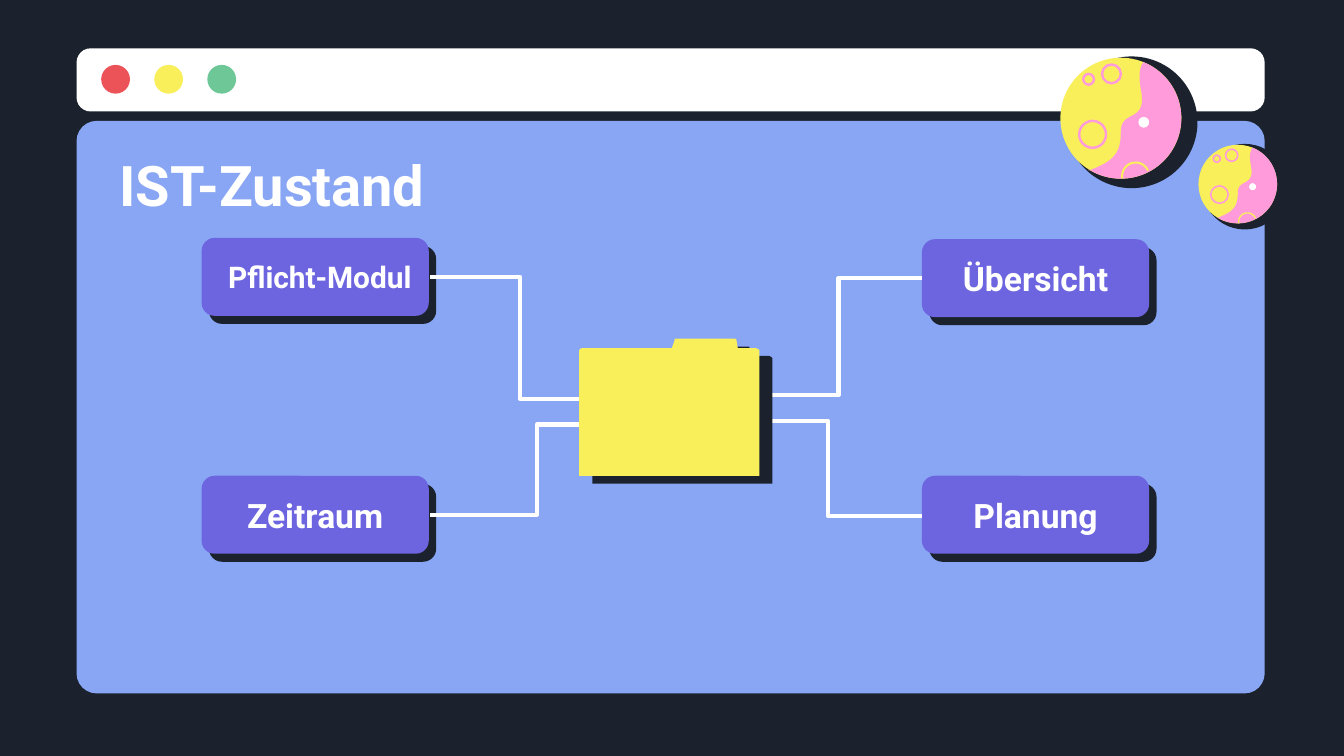
from math import cos, radians, sin

from lxml import etree
from pptx import Presentation
from pptx.dml.color import RGBColor
from pptx.enum.shapes import MSO_CONNECTOR, MSO_SHAPE
from pptx.enum.text import MSO_ANCHOR, PP_ALIGN
from pptx.oxml.ns import qn
from pptx.util import Inches, Pt

ROUND_RECT = MSO_SHAPE.ROUNDED_RECTANGLE
OVAL = MSO_SHAPE.OVAL
ELBOW = MSO_CONNECTOR.ELBOW
MIDDLE = MSO_ANCHOR.MIDDLE
LEFT, CENTER = PP_ALIGN.LEFT, PP_ALIGN.CENTER

DARK = RGBColor(0x1B, 0x22, 0x2D)
BLUE = RGBColor(0x88, 0xA6, 0xF3)
PURPLE = RGBColor(0x6D, 0x65, 0xE0)
WHITE = RGBColor(0xFF, 0xFF, 0xFF)
RED = RGBColor(0xEB, 0x53, 0x58)
YELLOW = RGBColor(0xF8, 0xEF, 0x5B)
GREEN = RGBColor(0x6D, 0xC7, 0x97)
PINK = RGBColor(0xFF, 0x9B, 0xDA)

FONT = "Roboto"
BUTTON_W, BUTTON_H = 1.69, 0.58


def paint(sp, fill=None, line=None, width=1):
    """Flat fill and outline; None leaves either one out."""
    sp.shadow.inherit = False
    if fill is None:
        sp.fill.background()
    else:
        sp.fill.solid()
        sp.fill.fore_color.rgb = fill
    if line is None:
        sp.line.fill.background()
    else:
        sp.line.color.rgb = line
        sp.line.width = Pt(width)


def add_rounded(shapes, x, y, w, h, radius, fill):
    sp = shapes.add_shape(ROUND_RECT, Inches(x), Inches(y), Inches(w), Inches(h))
    sp.adjustments[0] = radius
    paint(sp, fill)


def add_circle(shapes, cx, cy, r, fill=None, line=None, width=1):
    sp = shapes.add_shape(OVAL, Inches(cx - r), Inches(cy - r), Inches(2 * r), Inches(2 * r))
    paint(sp, fill, line, width)


def add_outline(shapes, points, close=True):
    points = [(Inches(x), Inches(y)) for x, y in points]
    builder = shapes.build_freeform(*points[0])
    builder.add_line_segments(points[1:], close=close)
    return builder.convert_to_shape()


def arc(cx, cy, r, start, end, steps=40):
    angles = [radians(start + (end - start) * i / steps) for i in range(steps + 1)]
    return [(cx + r * cos(a), cy + r * sin(a)) for a in angles]


def bezier(p0, p1, p2, p3, steps=16):
    points = []
    for i in range(steps + 1):
        t = i / steps
        weights = ((1 - t) ** 3, 3 * t * (1 - t) ** 2, 3 * t * t * (1 - t), t ** 3)
        points.append(tuple(sum(w * p[k] for w, p in zip(weights, (p0, p1, p2, p3)))
                            for k in (0, 1)))
    return points


def style_text(tf, size, align):
    tf.word_wrap = True
    tf.vertical_anchor = MIDDLE
    tf.margin_left = tf.margin_right = tf.margin_top = tf.margin_bottom = Inches(0.1)
    p = tf.paragraphs[0]
    p.alignment = align
    font = p.runs[0].font
    font.name, font.size, font.bold = FONT, Pt(size), True
    font.color.rgb = WHITE


def add_button(shapes, x, y, text, size, label_x, label_w):
    group = shapes.add_group_shape()
    add_rounded(group.shapes, x + 0.055, y + 0.06, BUTTON_W, BUTTON_H, 0.167, DARK)
    add_rounded(group.shapes, x, y, BUTTON_W, BUTTON_H, 0.167, PURPLE)
    label = shapes.add_textbox(Inches(label_x), Inches(y), Inches(label_w), Inches(BUTTON_H))
    label.text_frame.text = text
    style_text(label.text_frame, size, CENTER)


def add_elbow(shapes, x1, y1, x2, y2):
    line = shapes.add_connector(ELBOW, Inches(x1), Inches(y1), Inches(x2), Inches(y2))
    line.line.color.rgb = WHITE
    line.line.width = Pt(2.25)
    etree.SubElement(line._element.spPr, qn("a:effectLst"))


def add_planet(slide, cx, cy, scale):
    """Two-coloured planet; offsets are from its centre at scale 1."""
    shapes = slide.shapes.add_group_shape().shapes

    def place(points):
        return [(cx + x * scale, cy + y * scale) for x, y in points]

    def circle(x, y, r, **colours):
        add_circle(shapes, cx + x * scale, cy + y * scale, r * scale,
                   width=1.3 * scale, **colours)

    circle(0.08, 0.03, 0.49, fill=DARK)
    circle(0, 0, 0.45, fill=YELLOW)

    # Craters on the light side
    for x, y, r in ((-0.07, -0.33, 0.07), (-0.21, 0.12, 0.1), (-0.24, -0.29, 0.04)):
        circle(x, y, r, line=PINK)

    # Pink side: wavy border, then the rim
    border = (bezier((-0.24, 0.39), (-0.05, 0.32), (0, 0.26), (0, 0.1))
              + bezier((0, 0.1), (0, -0.07), (0.2, 0.04), (0.15, -0.21))
              + bezier((0.15, -0.21), (0.13, -0.32), (0.14, -0.38), (0.17, -0.42)))
    pink = add_outline(shapes, place(border + arc(0, 0, 0.45, -68, 122)))
    paint(pink, PINK)

    # Crater cut by the rim, and the bright spot
    crater = add_outline(shapes, place(arc(0.11, 0.43, 0.1, 170, 337)), close=False)
    paint(crater, line=YELLOW, width=1.1 * scale)
    circle(0.17, 0.03, 0.04, fill=WHITE)


def add_folder(shapes):
    points = [(5.65, 3.54), (4.31, 3.54)]
    points += bezier((4.31, 2.61), (4.31, 2.6), (4.32, 2.59), (4.34, 2.59))
    points += [(5, 2.59)]
    points += bezier((5.02, 2.53), (5.02, 2.52), (5.02, 2.52), (5.03, 2.52))
    points += bezier((5.46, 2.52), (5.47, 2.52), (5.48, 2.52), (5.48, 2.53))
    points += [(5.49, 2.59)]
    points += bezier((5.62, 2.59), (5.63, 2.59), (5.65, 2.6), (5.65, 2.61))
    folder = add_outline(shapes, points)
    paint(folder, YELLOW)

    # Hard offset shadow
    effects = folder._element.spPr.find(qn("a:effectLst"))
    shadow = etree.SubElement(effects, qn("a:outerShdw"), blurRad="0", dist=str(Pt(8.2)),
                              dir=str(31 * 60000), algn="bl", rotWithShape="0")
    etree.SubElement(shadow, qn("a:srgbClr"), val=str(DARK))


def main():
    prs = Presentation()
    prs.slide_width = Inches(10)
    prs.slide_height = Inches(10 * 9 / 16)
    s = prs.slides.add_slide(prs.slide_layouts[5])
    s.background.fill.solid()
    s.background.fill.fore_color.rgb = DARK
    shapes = s.shapes

    # Browser window
    add_rounded(shapes, 0.57, 0.9, 8.84, 4.26, 0.035, BLUE)
    add_rounded(shapes, 0.57, 0.36, 8.84, 0.47, 0.223, WHITE)
    for i, colour in enumerate((RED, YELLOW, GREEN)):
        add_circle(shapes, 0.86 + i * 0.395, 0.59, 0.107, fill=colour)

    # Planets
    add_planet(s, 8.34, 0.88, 1)
    add_planet(s, 9.21, 1.37, 0.65)

    # Title, brought in front of the window
    title = shapes.title
    title.left, title.top = Inches(0.79), Inches(1.06)
    title.width, title.height = Inches(8.43), Inches(0.62)
    title.text_frame.text = "IST-Zustand"
    style_text(title.text_frame, 30, LEFT)
    shapes._spTree.append(title._element)

    # Topics around the folder
    for topic in ((6.86, 3.54, "Planung", 18, 6.96, 1.49),
                  (1.5, 3.54, "Zeitraum", 18, 1.6, 1.49),
                  (1.5, 1.77, "Pflicht-Modul", 16, 1.37, 2.02),
                  (6.86, 1.78, "Übersicht", 18, 6.96, 1.49)):
        add_button(shapes, *topic)
    for ends in ((3.2, 2.06, 4.54, 2.97), (3.2, 3.83, 4.79, 3.16),
                 (6.86, 2.07, 5.62, 2.94), (6.86, 3.84, 5.46, 3.13)):
        add_elbow(shapes, *ends)
    add_folder(shapes)

    prs.save("out.pptx")


if __name__ == "__main__":
    main()
